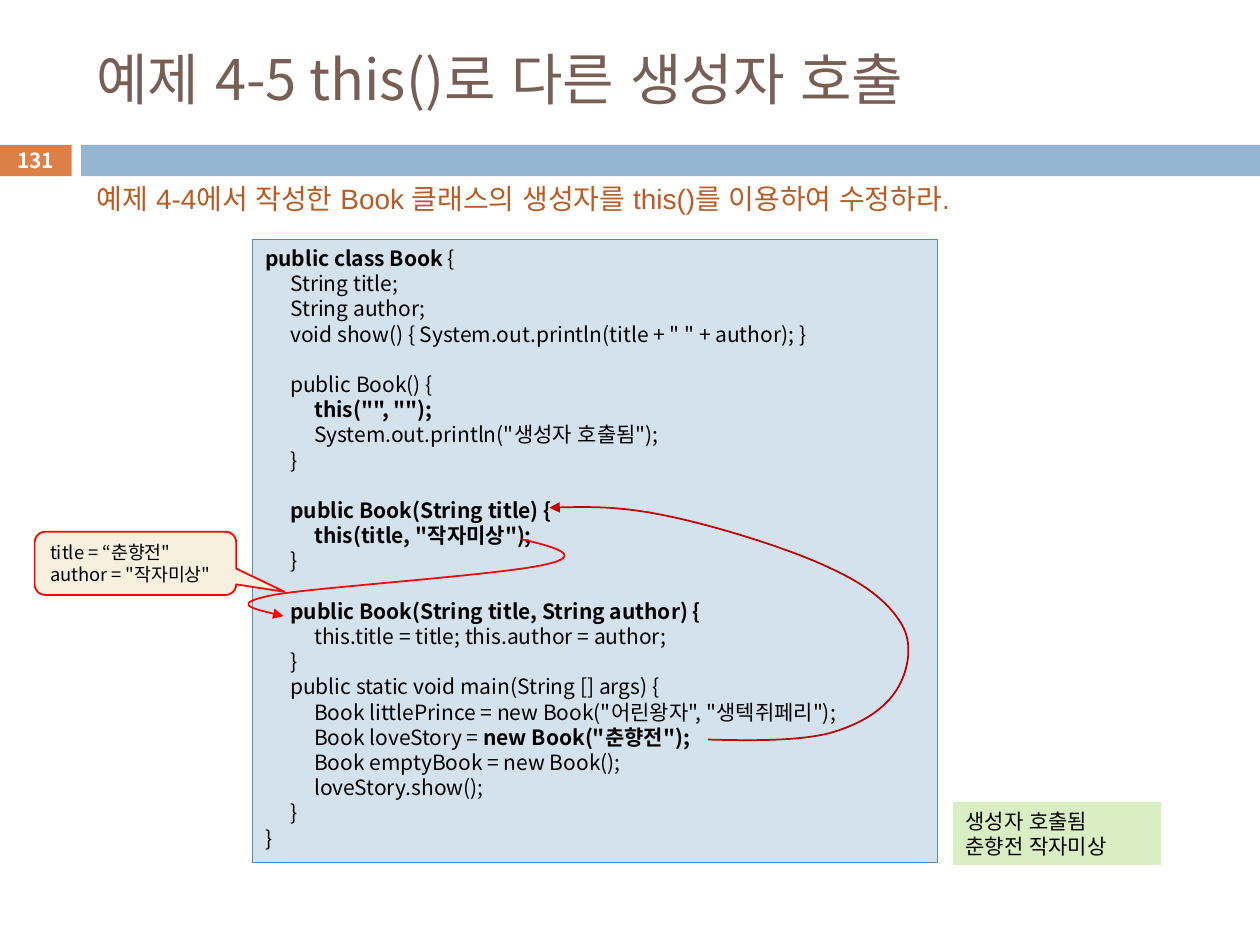
from lxml.etree import SubElement
from pptx import Presentation
from pptx.dml.color import RGBColor
from pptx.enum.shapes import MSO_SHAPE
from pptx.enum.text import MSO_ANCHOR, PP_ALIGN
from pptx.oxml.ns import qn
from pptx.util import Emu, Inches, Pt

# Content: text between ** marks is bold
TITLE = "예제 4-5 this()로 다른 생성자 호출"
PAGE_NUMBER = "**131**"
TASK = "예제 4-4에서 작성한 Book 클래스의 생성자를 this()를 이용하여 수정하라."
CODE = [
    "**public class Book **{",
    "\tString title;",
    "\tString author;",
    '\tvoid show() { System.out.println(title + " " + author); }',
    "",
    "\tpublic Book() {",
    '\t\t**this("", "");**',
    '\t\tSystem.out.println("생성자 호출됨");',
    "\t}",
    "",
    "\t**public Book(String title) {**",
    '\t\t**this(title, "작자미상");**',
    "\t}",
    "",
    "\t**public Book(String title, String author) {**",
    "\t\tthis.title = title; this.author = author;",
    "\t}",
    "\tpublic static void main(String [] args) {",
    '\t\tBook littlePrince = new Book("어린왕자", "생텍쥐페리");',
    '\t\tBook loveStory = **new Book("춘향전");**',
    "\t\tBook emptyBook = new Book();",
    "\t\tloveStory.show();",
    "\t}",
    "}",
]
CALLOUT = ["title = “춘향전\"", "author = \"작자미상\""]
OUTPUT = ["생성자 호출됨", "춘향전 작자미상"]

# Call arrows: start point, then two control points and an end point per curve (inches)
THIS_CALL = [(4.14, 4.28),
             (4.4, 4.34), (4.65, 4.41), (4.33, 4.48),
             (4, 4.56), (2.53, 4.66), (2.18, 4.72),
             (1.82, 4.79), (2.04, 4.84), (2.25, 4.89)]
NEW_CALL = [(5.62, 5.87),
            (5.98, 5.88), (6.34, 5.88), (6.58, 5.82),
            (6.83, 5.75), (7, 5.64), (7.1, 5.5),
            (7.2, 5.36), (7.25, 5.14), (7.17, 4.98),
            (7.08, 4.81), (6.9, 4.65), (6.59, 4.51),
            (6.28, 4.36), (5.7, 4.18), (5.32, 4.1),
            (4.95, 4.02), (4.66, 4.02), (4.36, 4.03)]

FONT = "Noto Sans CJK KR"
LINE_RATIO = 1.2

deck = Presentation()
deck.slide_width, deck.slide_height = Inches(10), Inches(7.5)
page = deck.slides.add_slide(deck.slide_layouts[5])


def color(value):
    return RGBColor.from_string(value)


def area(left, top, width, height):
    """Turn percentages of the slide into lengths."""
    return (Emu(int(deck.slide_width * left / 100)), Emu(int(deck.slide_height * top / 100)),
            Emu(int(deck.slide_width * width / 100)), Emu(int(deck.slide_height * height / 100)))


def set_line(shape, line):
    if line:
        shape.line.color.rgb, shape.line.width = color(line[0]), Pt(line[1])
    else:
        shape.line.fill.background()


def add_panel(place, fill, line=None, kind=MSO_SHAPE.RECTANGLE):
    panel = page.shapes.add_shape(kind, *area(*place))
    panel.shadow.inherit = False
    panel.fill.solid()
    panel.fill.fore_color.rgb = color(fill)
    set_line(panel, line)
    return panel


def write(box, lines, size, ink="000000", font=FONT, align=PP_ALIGN.LEFT,
          anchor=MSO_ANCHOR.TOP, tabs=(), exact=False):
    frame = box.text_frame
    frame.word_wrap, frame.vertical_anchor = True, anchor
    for number, line in enumerate(lines):
        para = frame.paragraphs[0] if number == 0 else frame.add_paragraph()
        para.alignment = align
        if exact:
            para.line_spacing = Pt(size * LINE_RATIO)
        if tabs:
            stops = SubElement(para._p.get_or_add_pPr(), qn("a:tabLst"))
            for stop in tabs:
                SubElement(stops, qn("a:tab"), pos=str(Inches(stop)), algn="l")
        para.font.size, para.font.name = Pt(size), font
        para.font.color.rgb = color(ink)
        for part, text in enumerate(line.split("**")):
            if text:
                span = para.add_run()
                span.text = text
                span.font.bold = part % 2 == 1
                properties = span._r.get_or_add_rPr()
                properties.set("lang", "ko-KR")
                properties.set("kern", "0")
                SubElement(properties, qn("a:ea"), typeface=FONT)


def add_call_arrow(points, ink):
    start, *others = [(Inches(x), Inches(y)) for x, y in points]
    builder = page.shapes.build_freeform(*start)
    builder.add_line_segments(others, close=False)
    arrow = builder.convert_to_shape()
    arrow.shadow.inherit = False
    arrow.fill.background()
    set_line(arrow, (ink, 1))
    SubElement(arrow.line._get_or_add_ln(), qn("a:tailEnd"), type="triangle")
    # Join every three line steps into one cubic curve
    outline = next(arrow._element.iter(qn("a:path")))
    steps = outline.findall(qn("a:lnTo"))
    for first in range(0, len(steps), 3):
        curve = SubElement(outline, qn("a:cubicBezTo"))
        for step in steps[first:first + 3]:
            curve.append(step[0])
            outline.remove(step)


# Title and heading band
title = page.shapes.title
title.left, title.top, title.width, title.height = area(6.65, 3.33, 89.2, 9.87)
write(title, [TITLE], 32, "775F55", anchor=MSO_ANCHOR.MIDDLE)
number_bar = add_panel((0, 15.33, 5.7, 3.33), "DD8047")
write(number_bar, [PAGE_NUMBER], 11.9, "FFFFFF", align=PP_ALIGN.CENTER, anchor=MSO_ANCHOR.MIDDLE)
add_panel((6.45, 15.33, 93.55, 3.33), "94B6D2")

# Task
task = page.shapes.add_textbox(*area(6.7, 18.53, 85.6, 4.93))
write(task, [TASK], 16, "B95B22", font="Arial", anchor=MSO_ANCHOR.MIDDLE)

# Code listing
listing = add_panel((20.05, 25.33, 54.35, 65.95), "D4E2ED", ("558BB8", 0.75))
write(listing, CODE, 12, tabs=(0.2, 0.39), exact=True)

# Calls between constructors, with the values passed on
add_call_arrow(THIS_CALL, "FF0000")
callout = add_panel((2.75, 56.27, 16, 6.7), "F7F0DE", ("FF0000", 1),
                    MSO_SHAPE.ROUNDED_RECTANGULAR_CALLOUT)
for index, value in enumerate((0.74, 0.45, 0.17)):
    callout.adjustments[index] = value
write(callout, CALLOUT, 10.5, anchor=MSO_ANCHOR.MIDDLE, exact=True)
add_call_arrow(NEW_CALL, "C00000")

# Program output
output = add_panel((75.65, 84.85, 16.5, 6.67), "DAEEC4")
write(output, OUTPUT, 12, exact=True)

deck.save("out.pptx")
